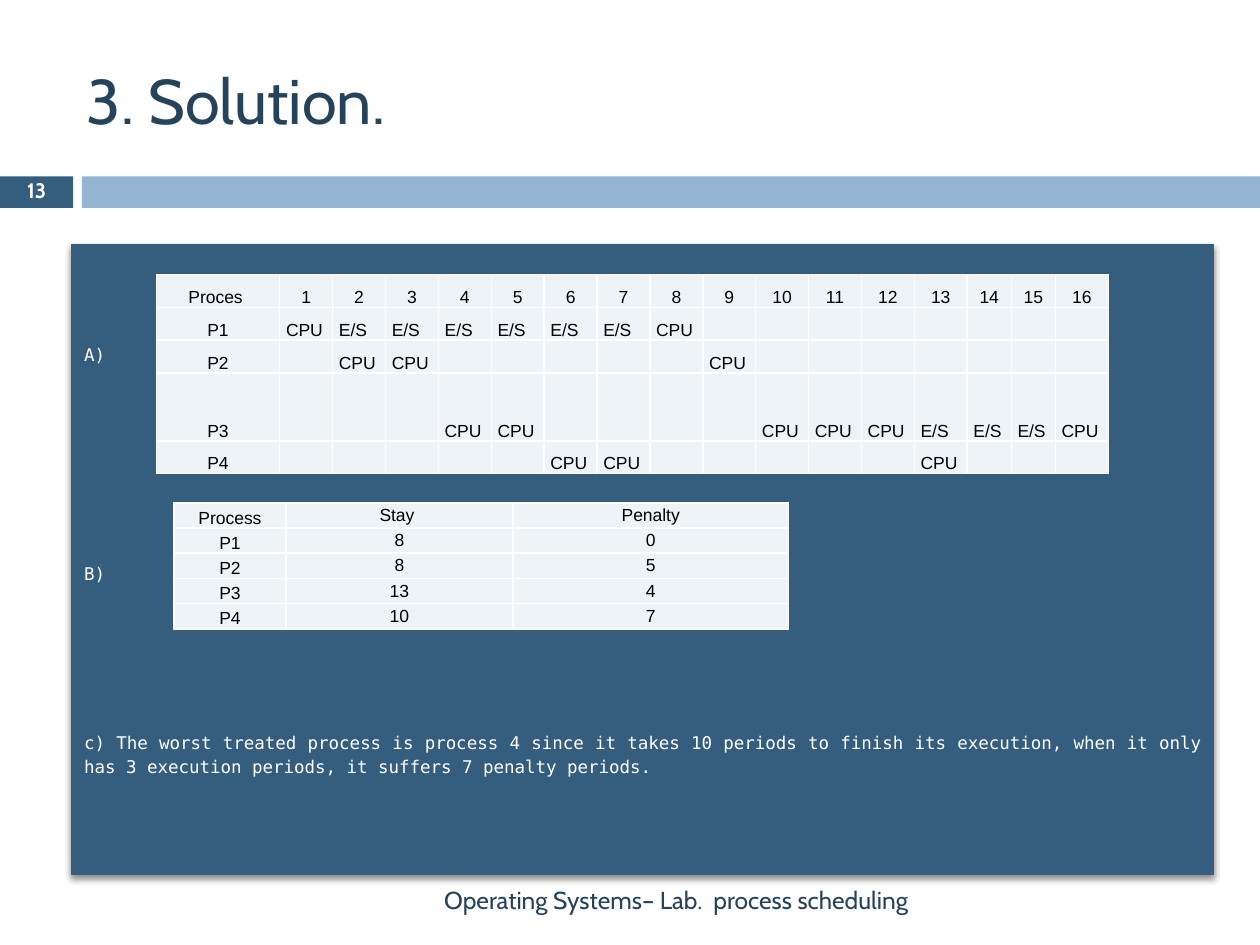
from lxml import etree
from pptx import Presentation
from pptx.dml.color import RGBColor
from pptx.enum.shapes import MSO_SHAPE
from pptx.enum.text import MSO_ANCHOR, PP_ALIGN
from pptx.oxml.ns import qn
from pptx.util import Inches, Pt

RECT = MSO_SHAPE.RECTANGLE
TOP, MIDDLE, BOTTOM = MSO_ANCHOR.TOP, MSO_ANCHOR.MIDDLE, MSO_ANCHOR.BOTTOM
LEFT, CENTER, RIGHT, JUSTIFY = (
    PP_ALIGN.LEFT, PP_ALIGN.CENTER, PP_ALIGN.RIGHT, PP_ALIGN.JUSTIFY)

COLORS = {
    "navy": "345D7E", "sky": "94B6D2", "ink": "26435C",
    "pale": "EEF3F7", "white": "FFFFFF", "black": "000000",
}
HEAD, BODY, MONO = "Cabin", "Arial", "DejaVu Sans Mono"

ANSWERS = [  # text, space before in points
    ("A)", 0),
    ("B)", 111),
    ("c) The worst treated process is process 4 since it takes 10 periods to "
     "finish its execution, when it only has 3 execution periods, it suffers "
     "7 penalty periods.", 83),
]
PERIODS = 16
RUNS = {  # process: {task: periods}
    "P1": {"CPU": [1, 8], "E/S": range(2, 8)},
    "P2": {"CPU": [2, 3, 9]},
    "P3": {"CPU": [4, 5, 10, 11, 12, 16], "E/S": [13, 14, 15]},
    "P4": {"CPU": [6, 7, 13]},
}
RESULTS = [
    ["Process", "Stay ", "Penalty"],
    ["P1", "8", "0"],
    ["P2", "8", "5"],
    ["P3", "13", "4"],
    ["P4", "10", "7"],
]


def rgb(name):
    return RGBColor.from_string(COLORS[name])


def plan():
    """Rows of the schedule: a heading, then one row per process."""
    rows = [["Proces "] + [str(n) for n in range(1, PERIODS + 1)]]
    for name, tasks in RUNS.items():
        slots = {n: task for task, times in tasks.items() for n in times}
        rows.append([name] + [slots.get(n, "") for n in range(1, PERIODS + 1)])
    return rows


class Deck:
    def __init__(self):
        self.prs = Presentation()
        self.prs.slide_width, self.prs.slide_height = Inches(10), Inches(7.5)
        self.slide = self.prs.slides.add_slide(self.prs.slide_layouts[5])

    def style(self, para, font, size, color, align, bold=False, line=None):
        para.font.name, para.font.size = font, Pt(size)
        para.font.color.rgb, para.font.bold = rgb(color), bold
        para.alignment = align
        if line:
            para.line_spacing = line

    def label(self, shape, text, *look, **more):
        frame = shape.text_frame
        frame.word_wrap, frame.vertical_anchor = True, MIDDLE
        frame.text = text
        self.style(frame.paragraphs[0], *look, **more)

    def title(self, box, text):
        shape = self.slide.shapes.title
        shape.left, shape.top, shape.width, shape.height = map(Inches, box)
        self.label(shape, text, HEAD, 36, "ink", LEFT)

    def text(self, box, text, *look, **more):
        shape = self.slide.shapes.add_textbox(*map(Inches, box))
        self.label(shape, text, *look, **more)

    def rect(self, box, color):
        shape = self.slide.shapes.add_shape(RECT, *map(Inches, box))
        shape.shadow.inherit = False
        shape.fill.solid()
        shape.fill.fore_color.rgb = rgb(color)
        shape.line.fill.background()
        return shape

    def panel(self, box, items):
        """Shadowed block of justified paragraphs."""
        shape = self.rect(box, "navy")
        shape.line.color.rgb, shape.line.width = rgb("navy"), Pt(0.79)
        effects = shape._element.spPr.find(qn("a:effectLst"))
        shade = etree.SubElement(
            effects, qn("a:outerShdw"), blurRad=str(Pt(3)), dist=str(Pt(2.4)),
            dir="5400000", rotWithShape="0")
        tint = etree.SubElement(shade, qn("a:srgbClr"), val=COLORS["black"])
        etree.SubElement(tint, qn("a:alpha"), val="45000")
        frame = shape.text_frame
        frame.word_wrap, frame.vertical_anchor = True, MIDDLE
        for i, (text, gap) in enumerate(items):
            para = frame.add_paragraph() if i else frame.paragraphs[0]
            para.text, para.space_before = text, Pt(gap)
            self.style(para, MONO, 10, "white", JUSTIFY, line=1.15)

    def border(self, cell):
        props = cell._tc.get_or_add_tcPr()
        for side in ("a:lnL", "a:lnR", "a:lnT", "a:lnB"):
            line = etree.SubElement(props, qn(side), w=str(Pt(1)))
            fill = etree.SubElement(line, qn("a:solidFill"))
            etree.SubElement(fill, qn("a:srgbClr"), val=COLORS["white"])

    def cell(self, cell, text, align, anchor):
        self.border(cell)
        cell.fill.solid()
        cell.fill.fore_color.rgb = rgb("pale")
        cell.margin_left = cell.margin_right = Inches(0.05)
        cell.margin_top = cell.margin_bottom = 0
        cell.vertical_anchor = anchor
        para = cell.text_frame.paragraphs[0]
        if text:
            para.text = text
            para.space_before, para.space_after = Pt(12), Pt(10)
        else:
            para._p.get_or_add_endParaRPr().set("sz", "1000")
        self.style(para, BODY, 10, "black", align, line=1.15)

    def table(self, spot, cols, rows, data, look):
        """Draw data; look(row, col) gives the alignment and anchor."""
        size = (sum(cols), sum(rows))
        table = self.slide.shapes.add_table(
            len(rows), len(cols), *map(Inches, spot + size)).table
        table.first_row = table.horz_banding = False
        for col, width in zip(table.columns, cols):
            col.width = Inches(width)
        for row, height in zip(table.rows, rows):
            row.height = Inches(height)
        for r, line in enumerate(data):
            for c, text in enumerate(line):
                self.cell(table.cell(r, c), text, *look(r, c))


def main():
    deck = Deck()
    deck.rect((0, 1.4, 0.58, 0.25), "navy")
    deck.rect((0.65, 1.4, 9.35, 0.25), "sky")
    deck.title((0.59, 0.25, 9.53, 1.08), "3. Solution.")
    deck.text((0, 1.39, 0.58, 0.27), "13", HEAD, 12, "white", CENTER,
              bold=True, line=0.8)
    deck.panel((0.57, 1.94, 9.06, 5), ANSWERS)
    deck.text((1.38, 6.94, 5.93, 0.4),
              "Operating Systems– Lab.  process scheduling",
              HEAD, 14, "ink", RIGHT)
    deck.table((1.24, 2.18), [0.98] + [0.42] * 13 + [0.35] * 2 + [0.42],
               [0.26] * 3 + [0.54, 0.26], plan(),
               lambda r, c: (JUSTIFY if r and c else CENTER, BOTTOM))
    deck.table((1.38, 3.99), [0.89, 1.8, 2.19], [0.2] * 5, RESULTS,
               lambda r, c: (CENTER, TOP if c else BOTTOM))
    deck.prs.save("out.pptx")


if __name__ == "__main__":
    main()
